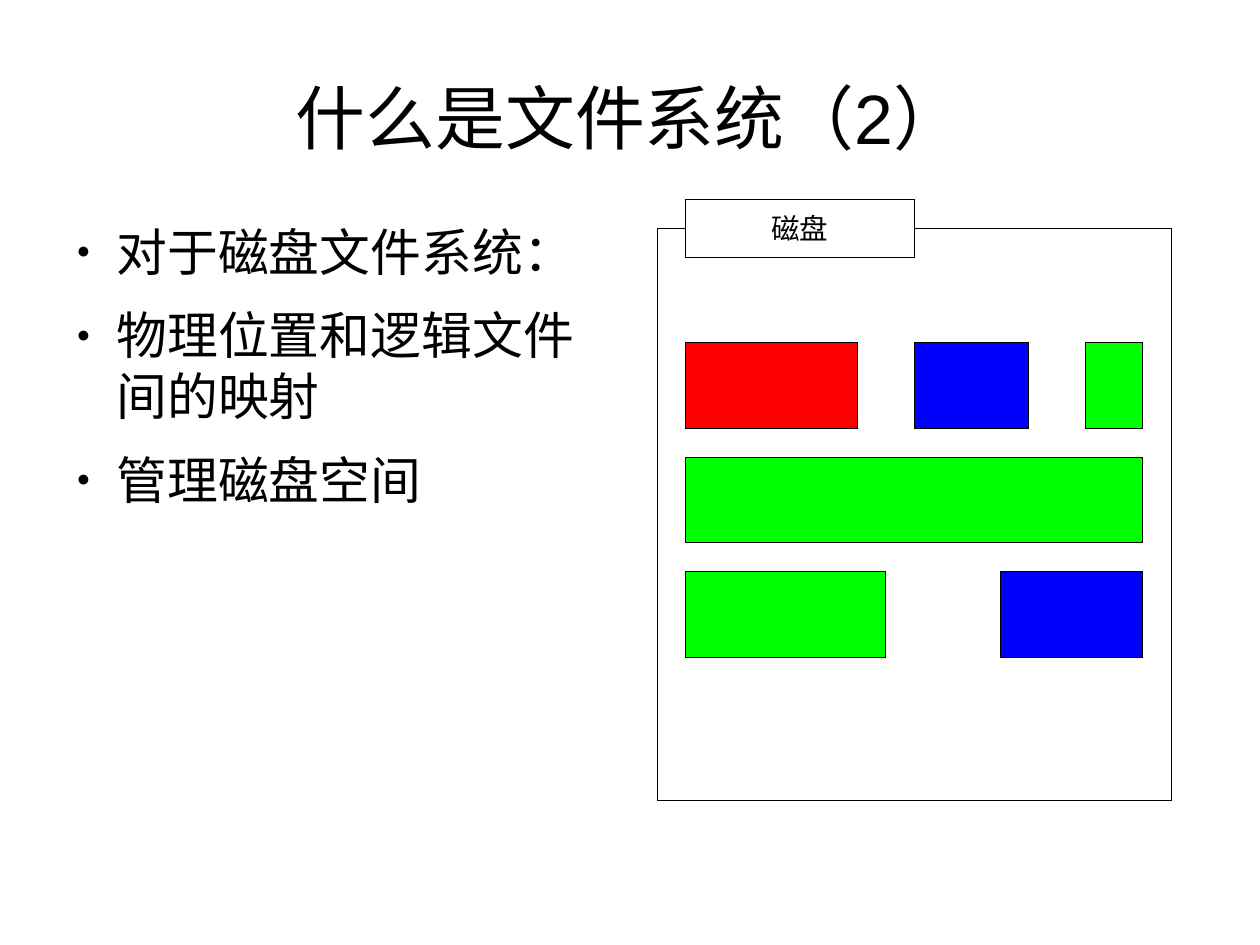
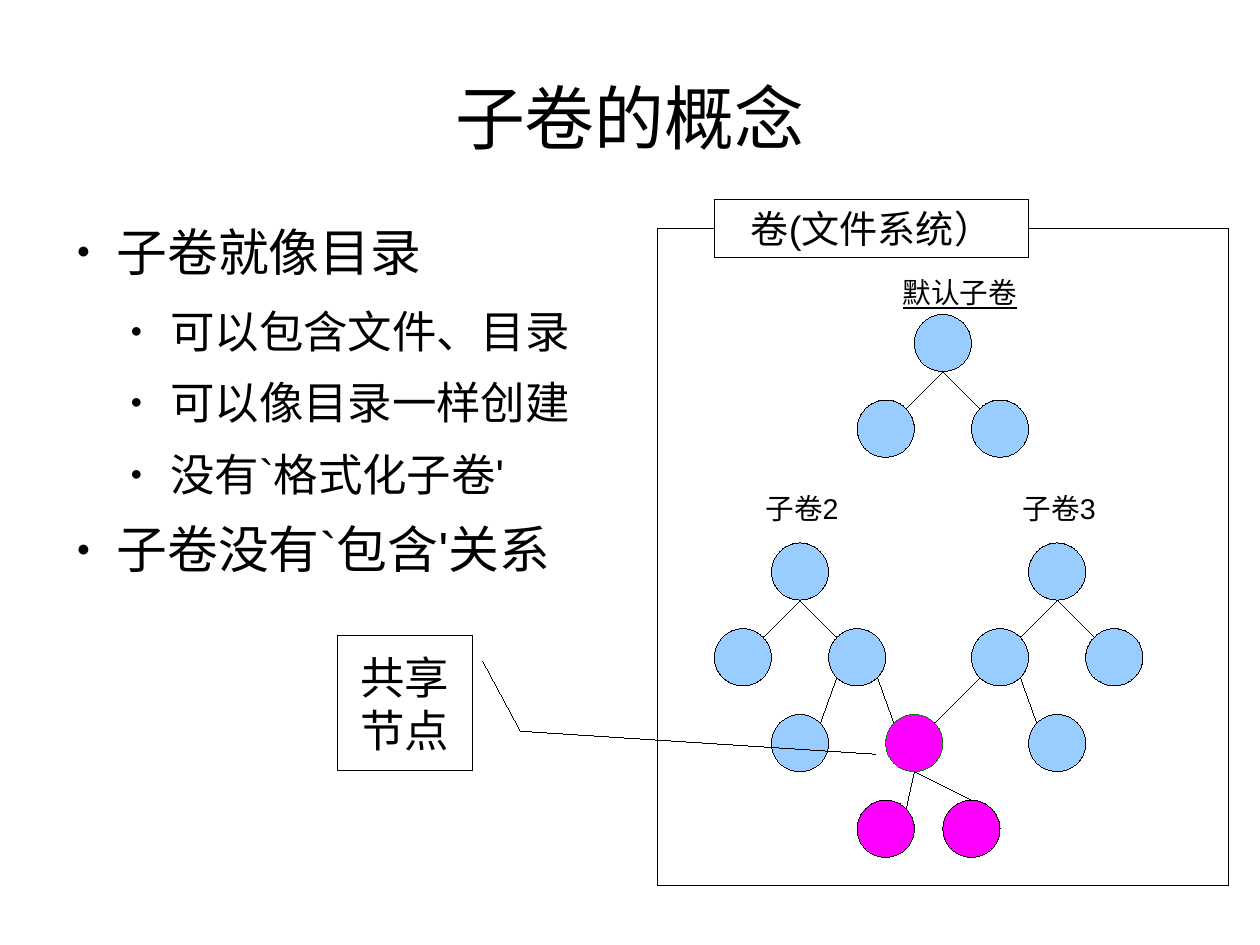
"""Build two slides on file systems and subvolumes."""
from lxml.etree import SubElement
from pptx import Presentation
from pptx.dml.color import RGBColor
from pptx.enum.shapes import MSO_CONNECTOR, MSO_SHAPE
from pptx.enum.text import MSO_ANCHOR, PP_ALIGN
from pptx.oxml.ns import qn
from pptx.util import Emu, Inches, Pt

BLACK = RGBColor(0, 0, 0)
WHITE = RGBColor(255, 255, 255)
RED = RGBColor(255, 0, 0)
GREEN = RGBColor(0, 255, 0)
BLUE = RGBColor(0, 0, 255)
SKY = RGBColor(0x99, 0xCC, 0xFF)
PINK = RGBColor(255, 0, 255)
DARK = RGBColor(0, 0x80, 0)

FONT = "Arial"
HAIR = Pt(0.01)
SIZES = (32, 28)
AFTER = (14.2, 11.3)
RADIUS = 0.25
DIAG = 0.18
SIDES = {"t": (0, -RADIUS), "b": (0, RADIUS),
         "tl": (-DIAG, -DIAG), "tr": (DIAG, -DIAG),
         "bl": (-DIAG, DIAG), "br": (DIAG, DIAG)}


def write(par, text, size=18, align=PP_ALIGN.LEFT, under=None):
    par.alignment = align
    run = par.add_run()
    run.text = text
    font = run.font
    font.name, font.size, font.underline = FONT, Pt(size), under
    font.color.rgb = BLACK


class Deck:
    def __init__(self):
        self.prs = Presentation()
        self.prs.slide_width = Emu(10080625)
        self.prs.slide_height = Emu(7559675)

    def start(self, title):
        self.slide = self.prs.slides.add_slide(self.prs.slide_layouts[6])
        frame = self.frame(0.55, 0.33, 9.92, 1.38)
        frame.vertical_anchor = MSO_ANCHOR.MIDDLE
        write(frame.paragraphs[0], title, size=44, align=PP_ALIGN.CENTER)

    def frame(self, x, y, w, h, inset=0, wrap=True):
        box = self.slide.shapes.add_textbox(Inches(x), Inches(y), Inches(w), Inches(h))
        frame = box.text_frame
        frame.word_wrap = wrap
        frame.margin_left = frame.margin_right = Inches(inset)
        frame.margin_top = frame.margin_bottom = Inches(inset / 2)
        return frame

    def list(self, items):
        frame = self.frame(0.55, 1.93, 4.84, 5.46)
        for i, (level, text) in enumerate(items):
            par = frame.add_paragraph() if i else frame.paragraphs[0]
            par.level = level
            par.space_after = Pt(AFTER[level])
            write(par, text, size=SIZES[level])
            props = par._p.get_or_add_pPr()
            props.set("marL", str(Inches(0.47 * (level + 1))))
            props.set("indent", str(Inches(-0.35)))
            SubElement(props, qn("a:buSzPct"), val="45000")
            SubElement(props, qn("a:buFont"), typeface=FONT)
            SubElement(props, qn("a:buChar"), char="●")

    def shape(self, kind, x, y, w, h, fill=None, line=BLACK):
        shape = self.slide.shapes.add_shape(kind, Inches(x), Inches(y), Inches(w), Inches(h))
        shape.shadow.inherit = False
        if fill is None:
            shape.fill.background()
        else:
            shape.fill.solid()
            shape.fill.fore_color.rgb = fill
        shape.line.color.rgb = line
        shape.line.width = HAIR
        return shape

    def rect(self, x, y, w, h, fill=None):
        return self.shape(MSO_SHAPE.RECTANGLE, x, y, w, h, fill)

    def tag(self, text, x, w, size):
        par = self.rect(x, 1.75, w, 0.5, WHITE).text_frame.paragraphs[0]
        write(par, text, size=size, align=PP_ALIGN.CENTER)

    def label(self, text, x, y, w, under=None):
        frame = self.frame(x, y, w, 0.46, inset=0.1, wrap=False)
        write(frame.paragraphs[0], text, under=under)

    def node(self, x, y, fill=SKY, line=BLACK):
        self.shape(MSO_SHAPE.OVAL, x - RADIUS, y - RADIUS, 2 * RADIUS, 2 * RADIUS, fill, line)
        return x, y

    def link(self, top, out, low, into):
        ends = [Inches(pos + off) for node, side in ((top, out), (low, into))
                for pos, off in zip(node, SIDES[side])]
        line = self.slide.shapes.add_connector(MSO_CONNECTOR.STRAIGHT, *ends)
        line.line.color.rgb = BLACK
        line.line.width = HAIR
        SubElement(line._element.spPr, qn("a:effectLst"))

    def tree(self, x, y):
        root = self.node(x, y)
        left, right = [self.node(x + step, y + 0.75) for step in (-0.5, 0.5)]
        self.link(root, "b", left, "tr")
        self.link(root, "b", right, "tl")
        return left, right

    def callout(self, lines, x, y, size, bends):
        shape = self.shape(MSO_SHAPE.LINE_CALLOUT_2, x, y, size, size)
        for i, bend in enumerate(bends):
            shape.adjustments[i] = bend
        frame = shape.text_frame
        frame.word_wrap = False
        for i, text in enumerate(lines):
            par = frame.add_paragraph() if i else frame.paragraphs[0]
            write(par, text, size=28, align=PP_ALIGN.CENTER)


def disk(deck):
    deck.start("什么是文件系统（2）")
    deck.list([(0, "对于磁盘文件系统："), (0, "物理位置和逻辑文件间的映射"),
               (0, "管理磁盘空间")])
    deck.rect(5.75, 2, 4.5, 5)
    deck.tag("磁盘", 6, 2, 18)
    rows = [[(6, 1.5, RED), (8, 1, BLUE), (9.5, 0.5, GREEN)],
            [(6, 4, GREEN)],
            [(6, 1.75, GREEN), (8.75, 1.25, BLUE)]]
    for y, row in enumerate(rows, 3):
        for x, w, fill in row:
            deck.rect(x, y, w, 0.75, fill)


def volume(deck):
    deck.start("子卷的概念")
    deck.list([(0, "子卷就像目录"), (1, "可以包含文件、目录"), (1, "可以像目录一样创建"),
               (1, "没有`格式化子卷'"), (0, "子卷没有`包含'关系")])
    deck.rect(5.75, 2, 5, 5.75)
    deck.tag("卷(文件系统）", 6.25, 2.75, 24)
    deck.label("默认子卷", 7.8, 2.36, 1.2, under=True)
    deck.label("子卷2", 6.6, 4.25, 0.91)
    deck.label("子卷3", 8.85, 4.25, 0.91)
    deck.tree(8.25, 3)
    second = deck.tree(7, 5)[1]
    third = deck.tree(9.25, 5)[0]
    shared = deck.node(8, 6.5, PINK, DARK)
    deck.link(second, "bl", deck.node(7, 6.5), "tr")
    deck.link(second, "br", shared, "tl")
    deck.link(third, "bl", shared, "tr")
    deck.link(third, "br", deck.node(9.25, 6.5), "tl")
    deck.link(shared, "b", deck.node(7.75, 7.25, PINK), "tr")
    deck.link(shared, "b", deck.node(8.5, 7.25, PINK), "t")
    deck.callout(["共享", "节点"], 2.95, 5.56, 1.18,
                 (0.19, 1.08, 0.71, 1.36, 0.88, 3.99))


def main():
    deck = Deck()
    disk(deck)
    volume(deck)
    deck.prs.save("out.pptx")


if __name__ == "__main__":
    main()
